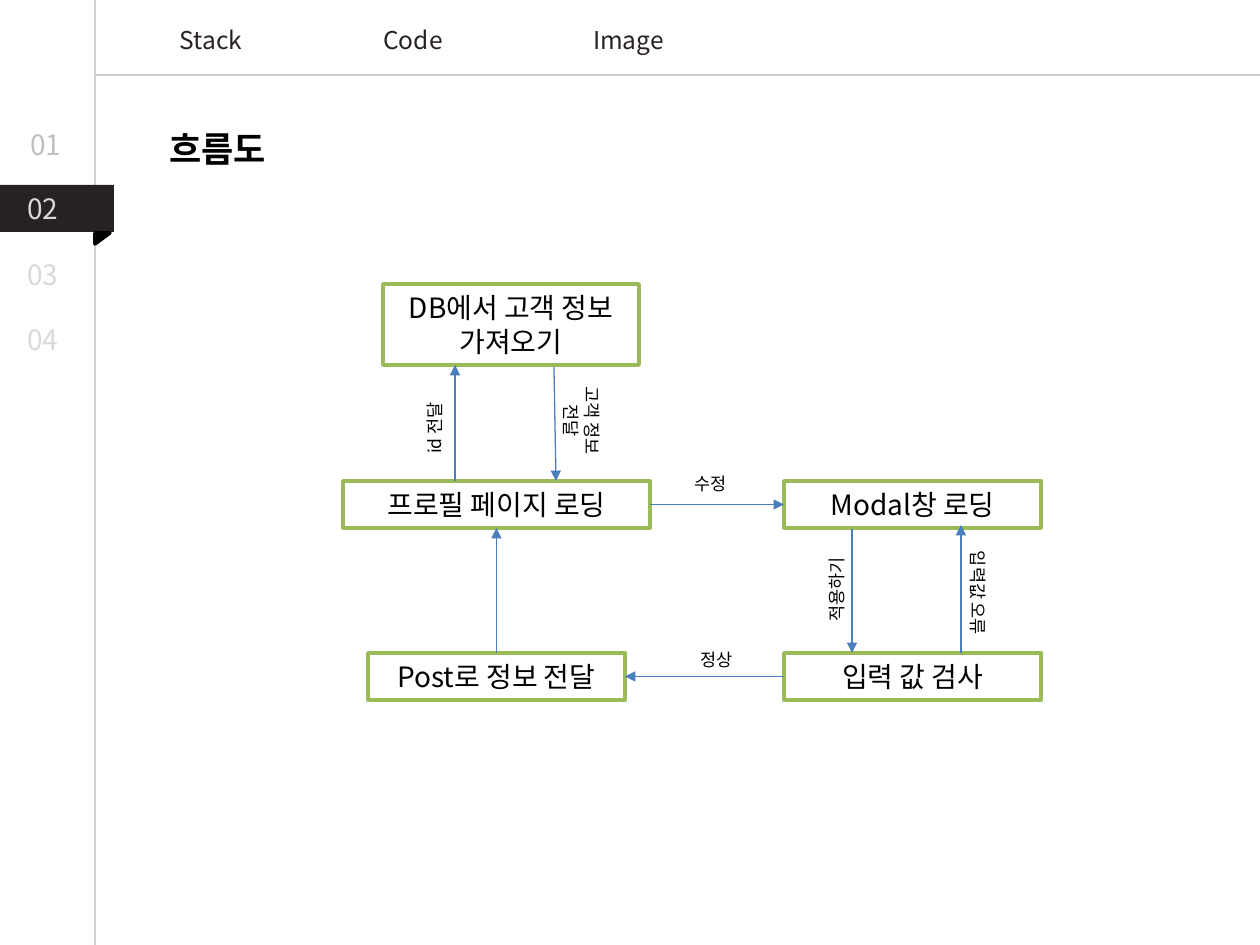
from dataclasses import dataclass

from lxml.etree import SubElement
from pptx import Presentation
from pptx.dml.color import RGBColor
from pptx.enum.shapes import MSO_CONNECTOR as Link, MSO_SHAPE as Kind
from pptx.enum.text import MSO_ANCHOR as Anchor, PP_ALIGN as Align
from pptx.oxml.ns import qn
from pptx.util import Emu, Pt


@dataclass(frozen=True)
class Theme:
    font: str = "Noto Sans CJK KR"
    ink: str = "000000"
    paper: str = "FFFFFF"
    dark: str = "272123"
    rule: str = "D2D2D2"
    dim: str = "BFBFBF"
    faint: str = "D9D9D9"
    green: str = "9BBB59"
    blue: str = "4B7EBC"
    title: int = 20
    body: int = 16
    tab: int = 14
    note: int = 10
    thin: float = 0.75
    thick: float = 2


T = Theme()
WIDE, HIGH = 1260, 945
SIDE, TOP = 95, 75  # the two rules that frame the page

# text, left, top, width, colour
PAGES = [
    ("01", 18, 121, 74, T.dim),
    ("02", 15, 185, 62, T.faint),
    ("03", 15, 251, 62, T.faint),
    ("04", 15, 316, 62, T.faint),
]
# text, left, width
TABS = [("Stack", 144, 134), ("Code", 346, 134), ("Image", 548, 161)]

# name: text, left, top, width, height
STEPS = {
    "db": ("DB에서 고객 정보\n가져오기", 383, 284, 256, 81),
    "profile": ("프로필 페이지 로딩", 343, 481, 307, 47),
    "modal": ("Modal창 로딩", 784, 481, 257, 47),
    "check": ("입력 값 검사", 784, 653, 257, 47),
    "post": ("Post로 정보 전달", 368, 653, 257, 47),
}
# from step, side, to step, side (0 top, 1 left, 2 bottom, 3 right)
JOINS = [
    ("profile", 3, "modal", 1),
    ("check", 1, "post", 3),
    ("post", 0, "profile", 2),
]
# x and y of the start, x and y of the end
ARROWS = [
    (455, 481, 455, 365),
    (554, 367, 556, 481),
    (852, 529, 852, 653),
    (961, 653, 961, 525),
]
# text, left, top, width, height, turn
NOTES = [
    ("id 전달", 392, 411, 86, 34, 270),
    ("고객 정보\n전달", 528, 393, 107, 55, 90),
    ("수정", 679, 467, 64, 34, 0),
    ("적용하기", 788, 572, 97, 34, 270),
    ("입력값 오류", 918, 576, 121, 34, 90),
    ("정상", 685, 643, 64, 34, 0),
]


def px(n):
    return Emu(round(n * 914400 / 126))


def rgb(code):
    return RGBColor.from_string(code)


def write(shape, text, size, color=T.ink, align=Align.CENTER,
          anchor=Anchor.TOP, bold=False):
    frame = shape.text_frame
    frame.word_wrap = True
    frame.vertical_anchor = anchor
    frame.text = text
    for para in frame.paragraphs:
        para.alignment = align
        font = para.font
        font.name, font.size, font.bold = T.font, Pt(size), bold
        font.color.rgb = rgb(color)
        # Korean glyphs take their face from the East Asian font
        props = para._p.get_or_add_pPr().find(qn("a:defRPr"))
        SubElement(props, qn("a:ea"), typeface=T.font)


def label(slide, text, area, size, turn=0, **style):
    box = slide.shapes.add_textbox(*map(px, area))
    box.rotation = turn
    write(box, text, size, **style)


def block(slide, kind, area, fill, line=None):
    shape = slide.shapes.add_shape(kind, *map(px, area))
    shape.shadow.inherit = False
    shape.fill.solid()
    shape.fill.fore_color.rgb = rgb(fill)
    if line:
        shape.line.color.rgb = rgb(line)
        shape.line.width = Pt(T.thick)
    else:
        shape.line.fill.background()
    return shape


def stroke(slide, ends, color, head=False):
    link = slide.shapes.add_connector(Link.STRAIGHT, *map(px, ends))
    link.line.color.rgb = rgb(color)
    link.line.width = Pt(T.thin)
    if head:
        SubElement(link.line._get_or_add_ln(), qn("a:tailEnd"), type="triangle")
    SubElement(link._element.spPr, qn("a:effectLst"))
    return link


def frame(slide):
    stroke(slide, (SIDE, 0, SIDE, HIGH), T.rule)
    stroke(slide, (SIDE, TOP, WIDE, TOP), T.rule)
    block(slide, Kind.RECTANGLE, (0, 185, 114, 47), T.dark)
    fold = block(slide, Kind.RIGHT_TRIANGLE, (97, 231, 11, 15), T.ink, T.ink)
    fold.rotation = 90
    for text, x, y, w, color in PAGES:
        label(slide, text, (x, y, w, 47), T.body, color=color, align=Align.LEFT)
    for text, x, w in TABS:
        label(slide, text, (x, 19, w, 43), T.tab, color=T.dark)
    label(slide, "흐름도", (137, 121, 161, 55), T.title, bold=True)


def flow(slide):
    boxes = {}
    for name, (text, *area) in STEPS.items():
        box = block(slide, Kind.RECTANGLE, area, T.paper, T.green)
        write(box, text, T.body, anchor=Anchor.MIDDLE)
        boxes[name] = box
    for start, out, end, into in JOINS:
        link = stroke(slide, (0, 0, 0, 0), T.blue, head=True)
        link.begin_connect(boxes[start], out)
        link.end_connect(boxes[end], into)
    for ends in ARROWS:
        stroke(slide, ends, T.blue, head=True)
    for text, *area, turn in NOTES:
        label(slide, text, area, T.note, turn)


def main():
    deck = Presentation()
    deck.slide_width, deck.slide_height = px(WIDE), px(HIGH)
    slide = deck.slides.add_slide(deck.slide_layouts[6])
    frame(slide)
    flow(slide)
    deck.save("out.pptx")


if __name__ == "__main__":
    main()
